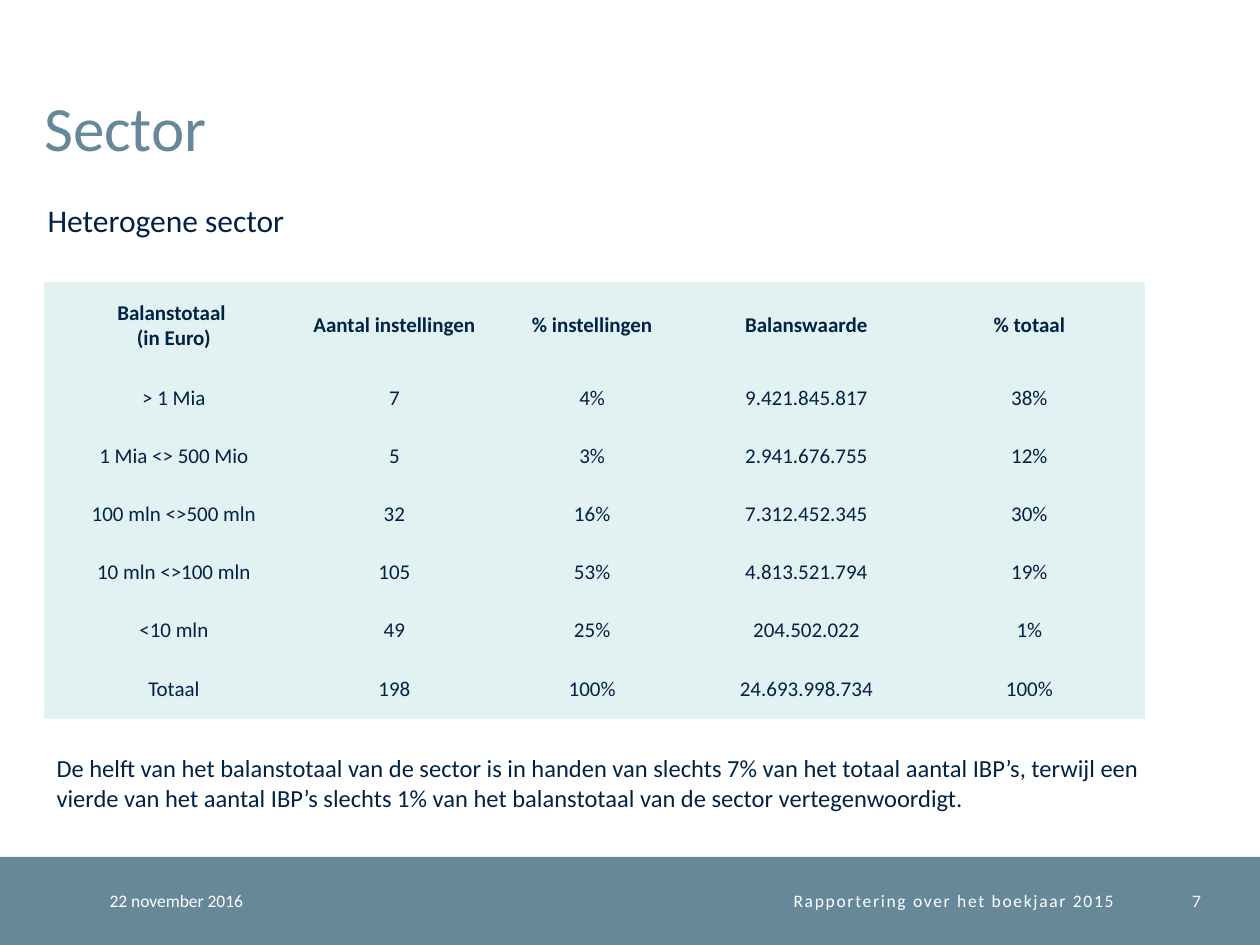
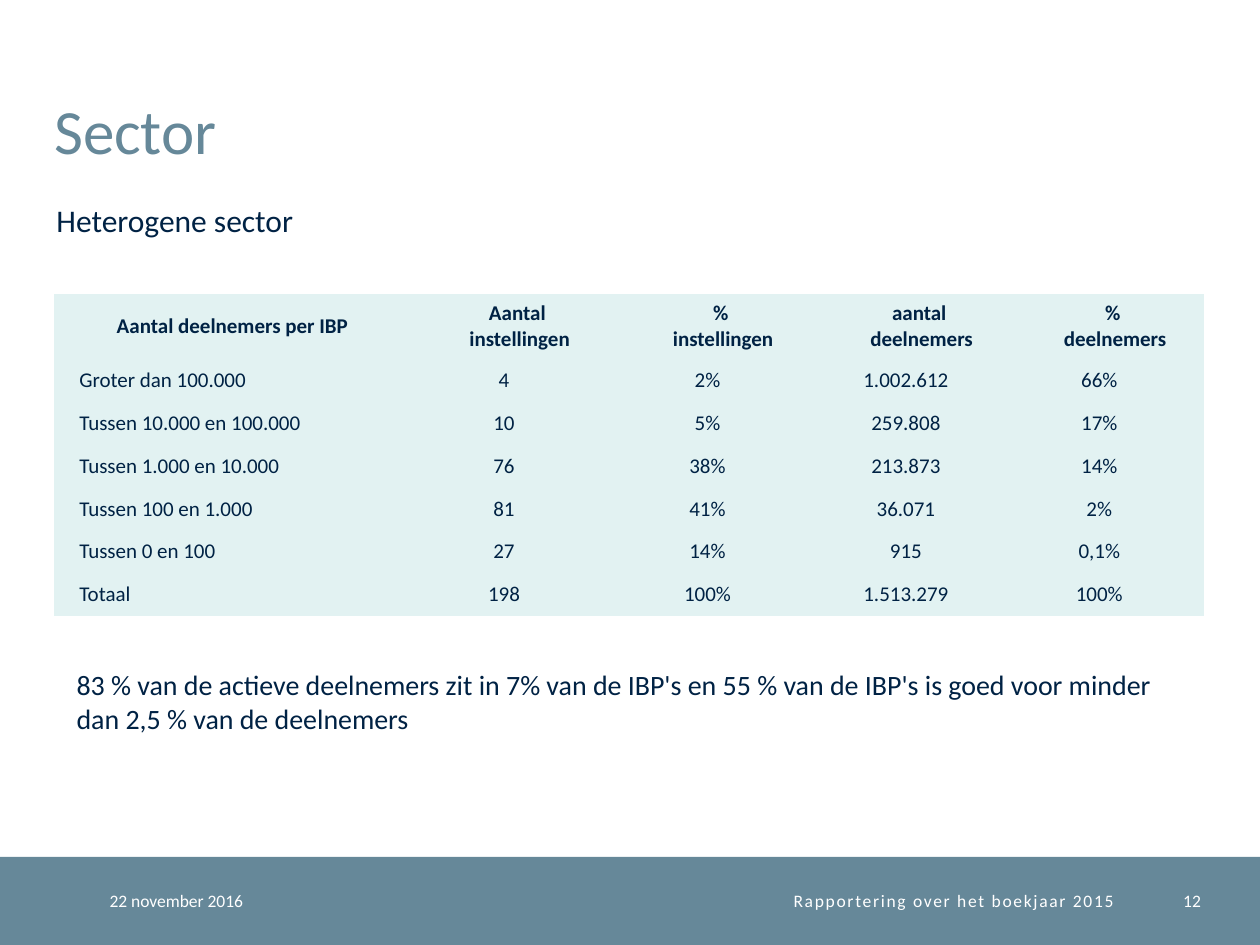
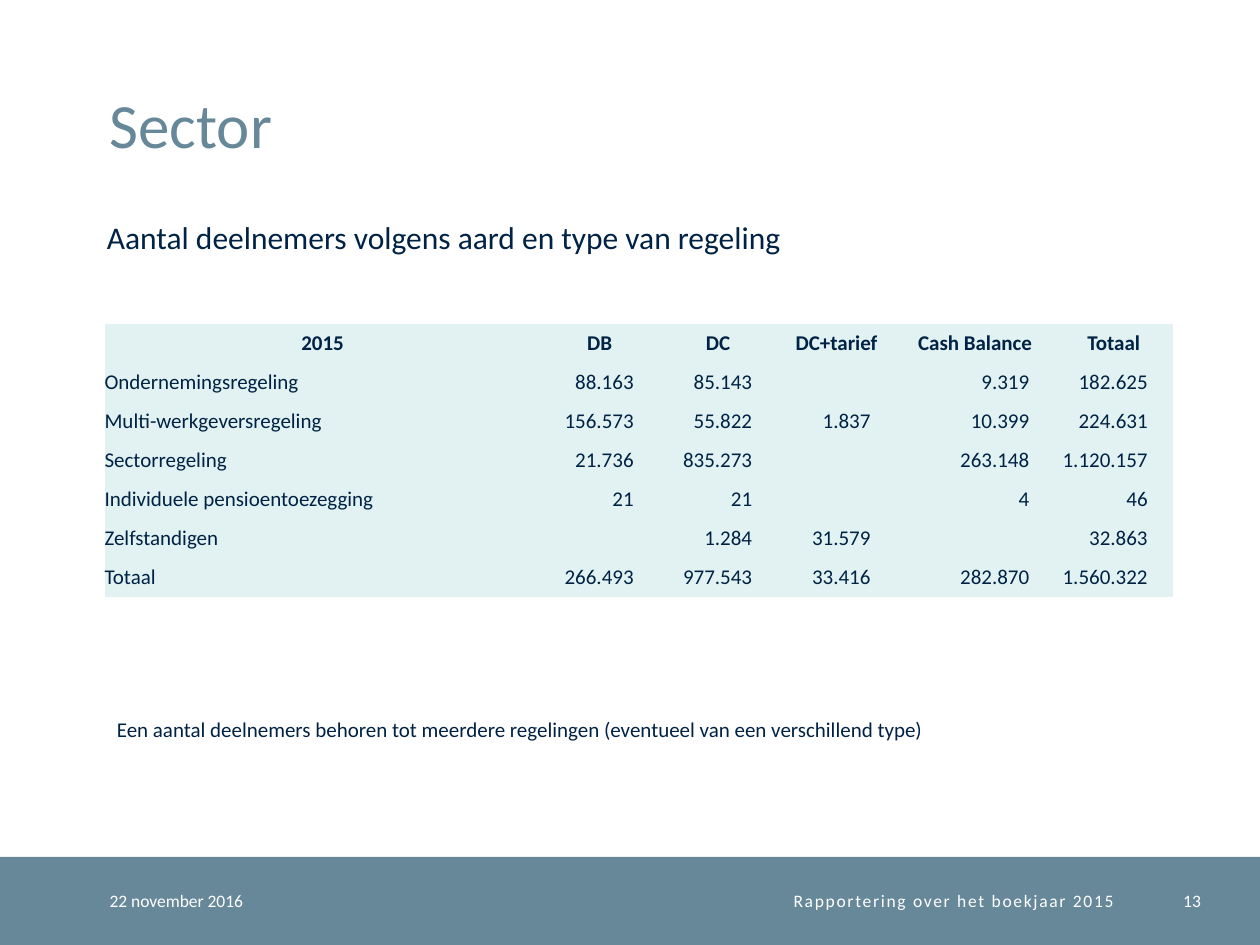
from pptx import Presentation
from pptx.dml.color import RGBColor
from pptx.enum.shapes import MSO_SHAPE
from pptx.enum.text import MSO_ANCHOR, MSO_AUTO_SIZE, PP_ALIGN
from pptx.oxml.ns import qn
from pptx.util import Inches, Pt

COLORS = {"band": "668899", "ink": "002244", "cell": "E2F2F2", "white": "FFFFFF"}
FONT = "Calibri"
PLAIN = "{2D5ABB26-0587-4C30-8999-92F81FD0307C}"
LEFT, MID, RIGHT = PP_ALIGN.LEFT, PP_ALIGN.CENTER, PP_ALIGN.RIGHT

PAGES = [
    {
        "page": "7",
        "title": (0.35, 0.22),
        "sub": ("Heterogene sector", 0.28, 1.55, 3.23, 0.4),
        "grid": (0.35, 2.24),
        "cols": [2.06, 1.44, 1.7, 1.7, 1.84],
        "rows": [0.69] + [0.46] * 5 + [0.48],
        "align": (MID, MID),
        "inset": (0, 0),
        "data": [
            ["Balanstotaal \n(in Euro)", "Aantal instellingen", "% instellingen", "Balanswaarde", "% totaal"],
            ["> 1 Mia", "7", "4%", "9.421.845.817", "38%"],
            ["1 Mia <> 500 Mio", "5", "3%", "2.941.676.755", "12%"],
            ["100 mln <>500 mln", "32", "16%", "7.312.452.345", "30%"],
            ["10 mln <>100 mln", "105", "53%", "4.813.521.794", "19%"],
            ["<10 mln", "49", "25%", "204.502.022", "1%"],
            ["Totaal", "198", "100%", "24.693.998.734", "100%"],
        ],
        "note": (
            "De helft van het balanstotaal van de sector is in handen van slechts 7% van het totaal "
            "aantal IBP’s, terwijl een vierde van het aantal IBP’s slechts 1% van het balanstotaal "
            "van de sector vertegenwoordigt.",
            0.35, 5.93, 8.82, 0.57,
        ),
        "size": 14,
    },
    {
        "page": "12",
        "title": (0.43, 0.25),
        "sub": ("Heterogene sector", 0.35, 1.55, 3.23, 0.4),
        "grid": (0.43, 2.33),
        "cols": [2.83, 1.73, 1.5, 1.65, 1.42],
        "rows": [0.52] + [0.34] * 6,
        "align": (LEFT, MID),
        "inset": (0.2, 0.25),
        "data": [
            ["Aantal deelnemers per IBP", "Aantal \ninstellingen", "% \ninstellingen",
             "aantal \ndeelnemers", "% \ndeelnemers"],
            ["Groter dan 100.000", "4", "2%", "1.002.612", "66%"],
            ["Tussen 10.000 en 100.000", "10", "5%", "259.808", "17%"],
            ["Tussen 1.000 en 10.000", "76", "38%", "213.873", "14%"],
            ["Tussen 100 en 1.000", "81", "41%", "36.071", "2%"],
            ["Tussen 0 en 100", "27", "14%", "915", "0,1%"],
            ["Totaal", "198", "100%", "1.513.279", "100%"],
        ],
        "note": (
            "83 % van de actieve deelnemers zit in 7% van de IBP's en 55 % van de IBP's is goed "
            "voor minder dan 2,5 % van de deelnemers",
            0.51, 5.25, 9.06, 0.64,
        ),
        "size": 16,
    },
    {
        "page": "13",
        "title": (0.87, 0.2),
        "sub": ("Aantal deelnemers volgens aard en type van regeling", 0.75, 1.68, 8.43, 0.4),
        "grid": (0.83, 2.57),
        "cols": [3.46, 0.94, 0.94, 0.94, 1.26, 0.94],
        "rows": [0.31] * 7,
        "align": (LEFT, RIGHT),
        "inset": (0, 0.2),
        "data": [
            ["2015", "DB", "DC", "DC+tarief", "Cash Balance", "Totaal"],
            ["Ondernemingsregeling", "88.163", "85.143", "", "9.319", "182.625"],
            ["Multi-werkgeversregeling", "156.573", "55.822", "1.837", "10.399", "224.631"],
            ["Sectorregeling", "21.736", "835.273", "", "263.148", "1.120.157"],
            ["Individuele pensioentoezegging", "21", "21", "", "4", "46"],
            ["Zelfstandigen", "", "1.284", "31.579", "", "32.863"],
            ["Totaal", "266.493", "977.543", "33.416", "282.870", "1.560.322"],
        ],
        "note": (
            "Een aantal deelnemers behoren tot meerdere regelingen (eventueel van een verschillend type)",
            0.83, 5.64, 8.74, 0.3,
        ),
        "size": 12,
    },
]


def write(frame, text, size, color, align=LEFT, bold=False):
    frame.text = text
    for para in frame.paragraphs:
        para.alignment = align
        para.font.name = FONT
        para.font.size = Pt(size)
        para.font.bold = bold
        para.font.color.rgb = RGBColor.from_string(COLORS[color])


def label(slide, text, x, y, w, h, size, color="ink", align=LEFT, foot=False):
    frame = slide.shapes.add_textbox(Inches(x), Inches(y), Inches(w), Inches(h)).text_frame
    frame.word_wrap = True
    if foot:
        frame.margin_left = frame.margin_right = frame.margin_top = frame.margin_bottom = 0
        frame.vertical_anchor = MSO_ANCHOR.MIDDLE
    write(frame, text, size, color, align)
    return frame


deck = Presentation()
deck.slide_width, deck.slide_height = Inches(10), Inches(7.5)

for page in PAGES:
    slide = deck.slides.add_slide(deck.slide_layouts[5])

    band = slide.shapes.add_shape(MSO_SHAPE.RECTANGLE, 0, Inches(6.8), Inches(10), Inches(0.7))
    band.shadow.inherit = False
    band.fill.solid()
    band.fill.fore_color.rgb = RGBColor.from_string(COLORS["band"])
    band.line.fill.background()

    title = slide.shapes.title
    title.left, title.top = [Inches(v) for v in page["title"]]
    title.width, title.height = Inches(8.63), Inches(1.08)
    frame = title.text_frame
    frame.margin_left = frame.margin_right = frame.margin_top = frame.margin_bottom = 0
    frame.vertical_anchor = MSO_ANCHOR.BOTTOM
    frame.auto_size = MSO_AUTO_SIZE.NONE
    write(frame, "Sector", 36, "band")
    frame.paragraphs[0].line_spacing = Pt(32)

    label(slide, "22 november 2016", 0.87, 6.8, 1.77, 0.7, 10, "white", foot=True)
    foot = label(slide, "Rapportering over het boekjaar 2015", 2.64, 6.8, 6.2, 0.7, 10, "white", RIGHT, True)
    foot.paragraphs[0].runs[0]._r.get_or_add_rPr().set("spc", "100")
    label(slide, page["page"], 9.04, 6.8, 0.49, 0.7, 10, "white", RIGHT, True)

    label(slide, *page["sub"], 18)

    cols, rows = page["cols"], page["rows"]
    x, y = page["grid"]
    table = slide.shapes.add_table(
        len(rows), len(cols), Inches(x), Inches(y), Inches(sum(cols)), Inches(sum(rows))
    ).table
    table._tbl.tblPr.find(qn("a:tableStyleId")).text = PLAIN
    table.horz_banding = False
    for col, width in zip(table.columns, cols):
        col.width = Inches(width)
    for row, height in zip(table.rows, rows):
        row.height = Inches(height)
    for r, line in enumerate(page["data"]):
        for c, text in enumerate(line):
            cell = table.cell(r, c)
            cell.fill.solid()
            cell.fill.fore_color.rgb = RGBColor.from_string(COLORS["cell"])
            cell.vertical_anchor = MSO_ANCHOR.MIDDLE
            cell.margin_top = cell.margin_bottom = 0
            cell.margin_left = Inches(page["inset"][0] if r and not c else 0)
            cell.margin_right = Inches(page["inset"][1] if r and c else 0)
            align = page["align"][min(c, 1)] if r else MID
            write(cell.text_frame, text, 12, "ink", align, r == 0)

    label(slide, *page["note"], page["size"])

deck.save("out.pptx")
